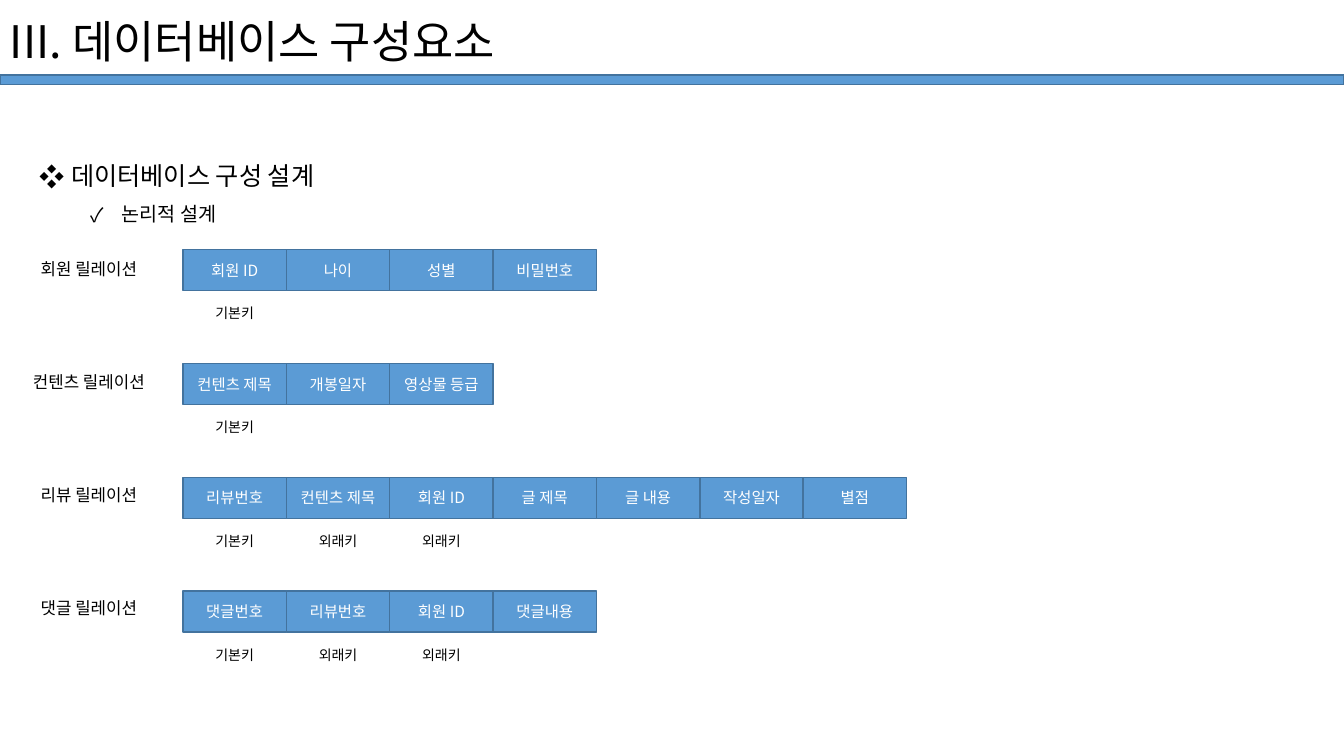
from lxml import etree
from pptx import Presentation
from pptx.dml.color import RGBColor
from pptx.enum.shapes import MSO_SHAPE
from pptx.enum.text import MSO_ANCHOR, PP_ALIGN
from pptx.oxml.ns import qn
from pptx.util import Inches, Pt

RECTANGLE = MSO_SHAPE.RECTANGLE
MIDDLE = MSO_ANCHOR.MIDDLE
CENTER = PP_ALIGN.CENTER
LEFT = PP_ALIGN.LEFT

WIDTH, HEIGHT = Inches(13.33), Inches(7.5)
COLUMN = WIDTH / 13
ROW = Inches(1.13)


def color(hex_string):
    return RGBColor.from_string(hex_string)


class Deck:
    """Style and current slide; lengths are grid columns and rows."""
    font = "Noto Sans CJK KR"
    fill, outline = "5B9BD5", "43739E"
    dark, light = "000000", "FFFFFF"

    def __init__(self, slide):
        self.slide = slide

    def place(self, col, row, cols, rows):
        return [round(n) for n in
                (col * COLUMN, row * ROW, cols * COLUMN, rows * ROW)]

    def set_words(self, paragraph, words, size, ink, align):
        paragraph.text = words
        paragraph.alignment = align
        for run in paragraph.runs:
            run.font.name = self.font
            run.font.size = Pt(size)
            run.font.color.rgb = color(ink)
            east_asian = etree.SubElement(run.font._element, qn("a:ea"))
            east_asian.set("typeface", self.font)

    def box(self, *spot, words="", size=11):
        shape = self.slide.shapes.add_shape(RECTANGLE, *self.place(*spot))
        shape.shadow.inherit = False
        shape.fill.solid()
        shape.fill.fore_color.rgb = color(self.fill)
        shape.line.color.rgb = color(self.outline)
        shape.line.width = Pt(1)
        if words:
            shape.text_frame.word_wrap = True
            shape.text_frame.vertical_anchor = MIDDLE
            self.set_words(shape.text_frame.paragraphs[0], words, size,
                           self.light, CENTER)

    def text(self, *spot, words, size, align=CENTER):
        frame = self.slide.shapes.add_textbox(*self.place(*spot)).text_frame
        frame.word_wrap = True
        for index, line in enumerate(words.split("\n")):
            paragraph = frame.paragraphs[0] if index == 0 else frame.add_paragraph()
            self.set_words(paragraph, line, size, self.dark, align)
        return frame.paragraphs

    def bullet(self, paragraph, margin, hanging, tag, **marks):
        properties = paragraph._p.get_or_add_pPr()
        properties.set("marL", str(Inches(margin)))
        properties.set("indent", str(-Inches(hanging)))
        etree.SubElement(properties, qn("a:buFont")).set("typeface", self.font)
        mark = etree.SubElement(properties, qn(tag))
        for name, value in marks.items():
            mark.set(name, value)


presentation = Presentation()
presentation.slide_width, presentation.slide_height = WIDTH, HEIGHT
deck = Deck(presentation.slides.add_slide(presentation.slide_layouts[6]))

# Heading and rule
deck.box(0, 0.66, 13, 0.08)
heading, = deck.text(0, 0.08, 10.46, 0.57, words="데이터베이스 구성요소",
                     size=32, align=LEFT)
deck.bullet(heading, 0.62, 0.62, "a:buAutoNum", type="romanUcPeriod", startAt="3")

# Topic and subtopic
topic, subtopic = deck.text(0.29, 1.23, 9.83, 0.76, size=18, align=LEFT,
                            words="데이터베이스 구성 설계\n논리적 설계")
subtopic.level = 1
subtopic.runs[0].font.size = Pt(14)
for line, margin, symbol in ((topic, 0.31, "❖"), (subtopic, 0.81, "✓")):
    line.line_spacing = 1.5
    deck.bullet(line, margin, 0.31, "a:buChar", char=symbol)

# Relations: name, attributes, keys under the first attributes
PRIMARY, FOREIGN = "기본키", "외래키"
RELATIONS = [
    ("회원 릴레이션", ["회원 ID", "나이", "성별", "비밀번호"], [PRIMARY]),
    ("컨텐츠 릴레이션", ["컨텐츠 제목", "개봉일자", "영상물 등급"], [PRIMARY]),
    ("리뷰 릴레이션",
     ["리뷰번호", "컨텐츠 제목", "회원 ID", "글 제목", "글 내용", "작성일자", "별점"],
     [PRIMARY, FOREIGN, FOREIGN]),
    ("댓글 릴레이션", ["댓글번호", "리뷰번호", "회원 ID", "댓글내용"],
     [PRIMARY, FOREIGN, FOREIGN]),
]
FIRST_COLUMN, FIRST_ROW = 1.77, 2.19
for index, (relation, attributes, keys) in enumerate(RELATIONS):
    top = FIRST_ROW + index
    deck.text(0.11, 2.23 + 0.99 * index, 1.5, 0.27, words=relation, size=12)
    for offset, attribute in enumerate(attributes):
        deck.box(FIRST_COLUMN + offset, top, 1, 0.36, words=attribute)
    for offset, key in enumerate(keys):
        deck.text(FIRST_COLUMN + offset + 0.1, top + 0.44, 0.8, 0.24,
                  words=key, size=10)

presentation.save("out.pptx")
